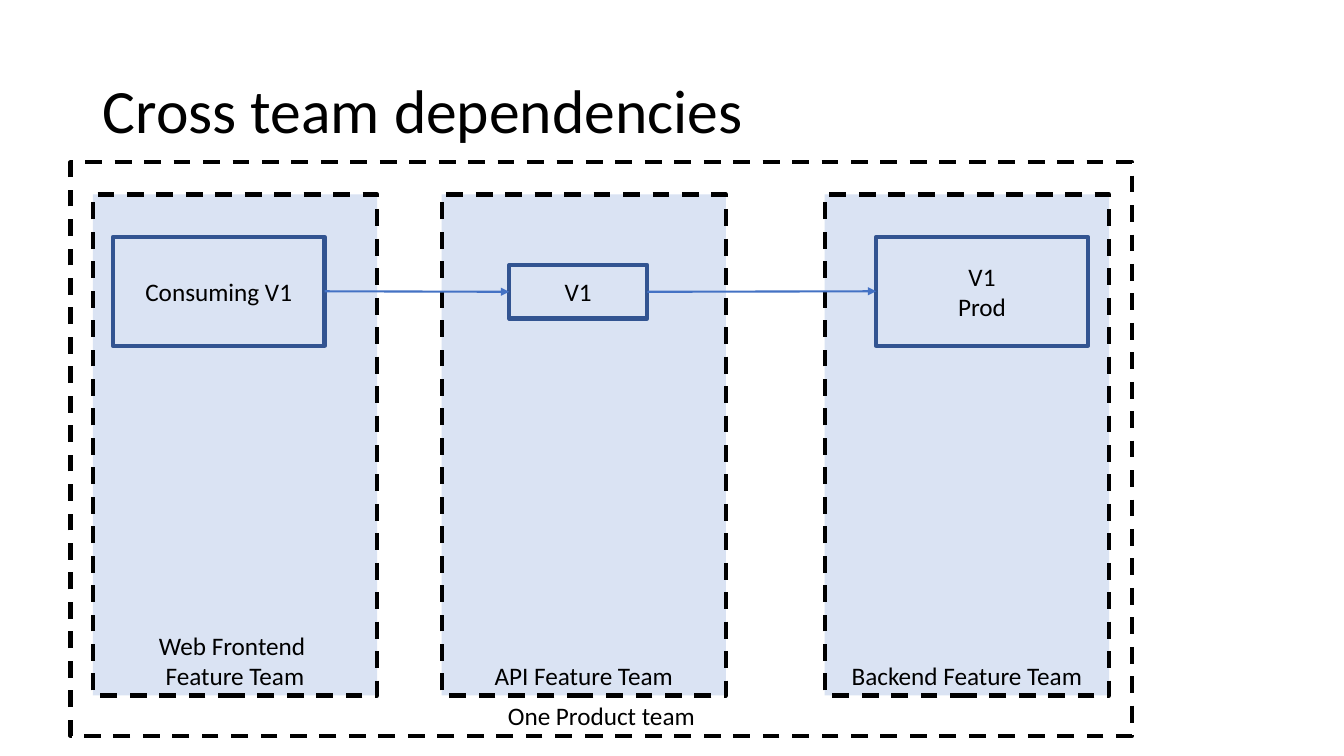
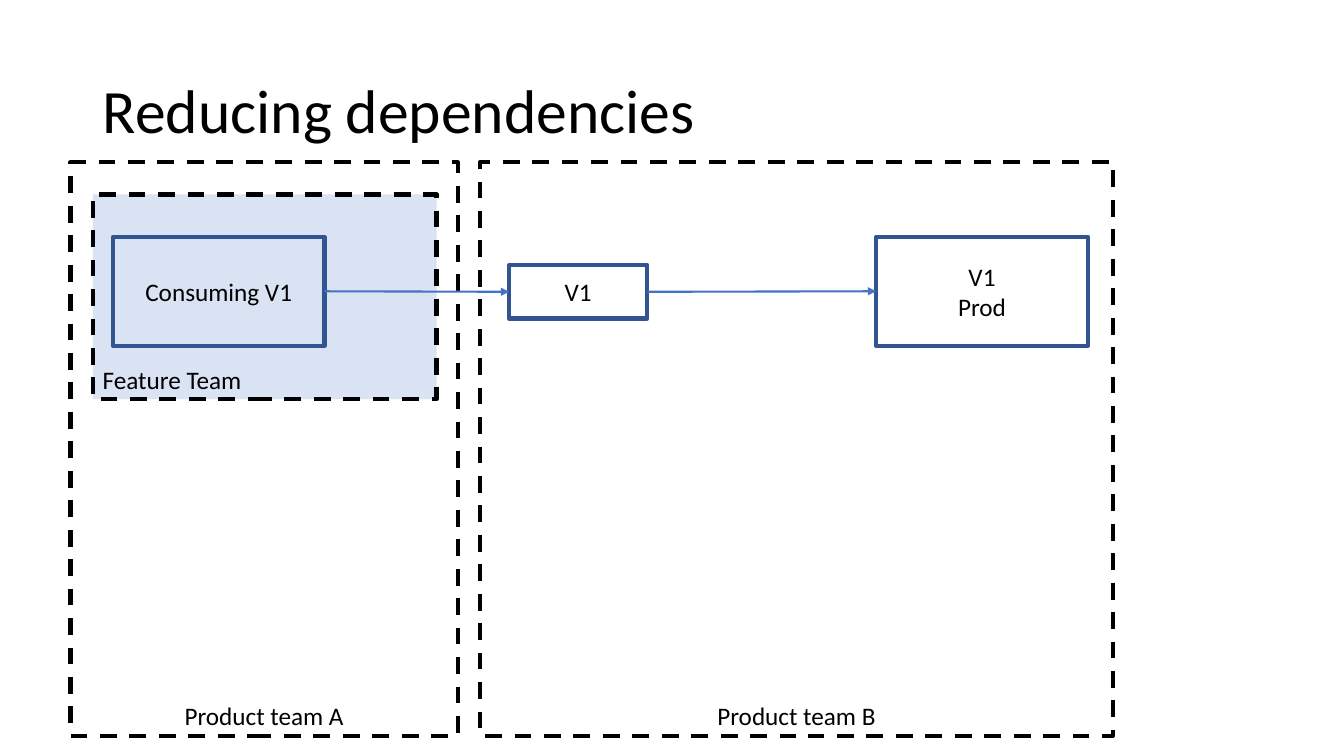
from dataclasses import dataclass
from typing import Optional

from lxml import etree
from pptx import Presentation
from pptx.dml.color import RGBColor
from pptx.enum import dml, shapes, text
from pptx.oxml import ns
from pptx.util import Pt

EMU_PER_PX = 9144  # 100 px to the inch
FONT = "Calibri"
BLACK = RGBColor(0x00, 0x00, 0x00)
PALE_BLUE = RGBColor(0xDA, 0xE3, 0xF3)
DARK_BLUE = RGBColor(0x32, 0x54, 0x91)
ARROW_BLUE = RGBColor(0x44, 0x72, 0xC4)
LEFT_SIDE, RIGHT_SIDE = 1, 3
TEAM_TOP = 193
PRODUCT_TOP, PRODUCT_HEIGHT = 161, 569


@dataclass(frozen=True)
class Box:
    label: str
    left: int
    top: int
    width: int
    height: int
    fill: Optional[RGBColor] = None
    line: RGBColor = BLACK
    dashed: bool = True
    anchor: text.MSO_ANCHOR = text.MSO_ANCHOR.BOTTOM
    align: text.PP_ALIGN = text.PP_ALIGN.CENTER


@dataclass(frozen=True)
class Page:
    title: str
    teams: list[Box]


def feature_team(label: str, left: int, width: int = 282, height: int = 497,
                 align: text.PP_ALIGN = text.PP_ALIGN.CENTER) -> Box:
    return Box(label, left, TEAM_TOP, width, height, fill=PALE_BLUE, align=align)


def product_team(label: str, left: int, width: int) -> Box:
    return Box(label, left, PRODUCT_TOP, width, PRODUCT_HEIGHT)


def component(label: str, left: int, top: int, width: int, height: int) -> Box:
    return Box(label, left, top, width, height, line=DARK_BLUE, dashed=False,
               anchor=text.MSO_ANCHOR.MIDDLE)


COMPONENTS = [
    component("Consuming V1", 112, 235, 210, 108),
    component("V1", 505, 263, 137, 53),
    component("V1\nProd", 869, 235, 210, 108),
]

PAGES = [
    Page("Cross team dependencies", [
        feature_team("Web Frontend \vFeature Team", 92),
        feature_team("API Feature Team", 438),
        feature_team("Backend Feature Team", 818),
        product_team("One Product team", 70, 1053),
    ]),
    Page("Reducing dependencies", [
        feature_team("Feature Team", 92, 341, 203, text.PP_ALIGN.LEFT),
        product_team("Product team A", 70, 384),
        product_team("Product team B", 476, 628),
    ]),
]


def px(length: int) -> int:
    return length * EMU_PER_PX


def place(shape, left: int, top: int, width: int, height: int) -> None:
    shape.left, shape.top = px(left), px(top)
    shape.width, shape.height = px(width), px(height)


def write(text_frame, content: str, size: int, anchor: text.MSO_ANCHOR,
          align: text.PP_ALIGN) -> None:
    text_frame.text = content
    text_frame.word_wrap = True
    text_frame.auto_size = text.MSO_AUTO_SIZE.NONE
    text_frame.vertical_anchor = anchor
    for paragraph in text_frame.paragraphs:
        paragraph.alignment = align
        for run in paragraph.runs:
            run.font.name = FONT
            run.font.size = Pt(size)
            run.font.color.rgb = BLACK


def add_box(slide, box: Box):
    shape = slide.shapes.add_shape(
        shapes.MSO_SHAPE.RECTANGLE, px(box.left), px(box.top),
        px(box.width), px(box.height))
    shape.shadow.inherit = False
    if box.fill is None:
        shape.fill.background()
    else:
        shape.fill.solid()
        shape.fill.fore_color.rgb = box.fill
    shape.line.color.rgb = box.line
    shape.line.width = Pt(3)
    if box.dashed:
        shape.line.dash_style = dml.MSO_LINE.DASH
    write(shape.text_frame, box.label, 18, box.anchor, box.align)
    return shape


def add_arrow(slide, source, target) -> None:
    """Join the right side of source to the left side of target."""
    connector = slide.shapes.add_connector(shapes.MSO_CONNECTOR.STRAIGHT, 0, 0, 0, 0)
    connector.begin_connect(source, RIGHT_SIDE)
    connector.end_connect(target, LEFT_SIDE)
    connector.line.color.rgb = ARROW_BLUE
    connector.line.width = Pt(1.5)
    properties = connector.element.spPr
    outline = properties.find(ns.qn("a:ln"))
    etree.SubElement(outline, ns.qn("a:tailEnd"), type="triangle")
    etree.SubElement(properties, ns.qn("a:effectLst"))


def set_title(slide, content: str) -> None:
    title = slide.shapes.title
    place(title, 92, 40, 1150, 145)
    write(title.text_frame, content, 44, text.MSO_ANCHOR.MIDDLE, text.PP_ALIGN.LEFT)
    title.text_frame.paragraphs[0].line_spacing = 0.9


def add_page(presentation, page: Page) -> None:
    title_only = presentation.slide_layouts.get_by_name("Title Only")
    slide = presentation.slides.add_slide(title_only)
    set_title(slide, page.title)
    for team in page.teams:
        add_box(slide, team)
    chain = [add_box(slide, box) for box in COMPONENTS]
    for source, target in zip(chain, chain[1:]):
        add_arrow(slide, source, target)


def main() -> None:
    presentation = Presentation()
    presentation.slide_width, presentation.slide_height = px(1333), px(750)
    for page in PAGES:
        add_page(presentation, page)
    presentation.save("out.pptx")


if __name__ == "__main__":
    main()
